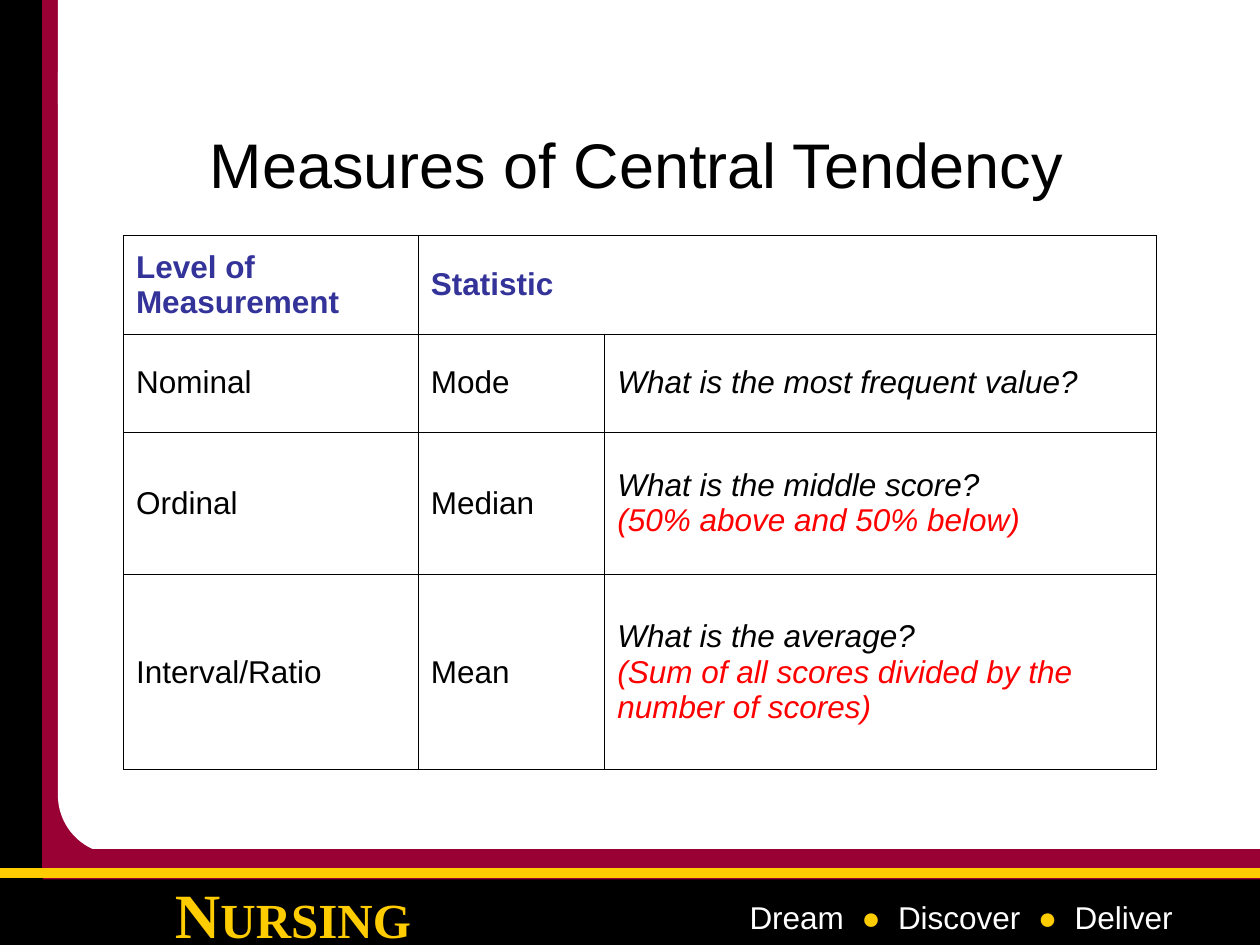
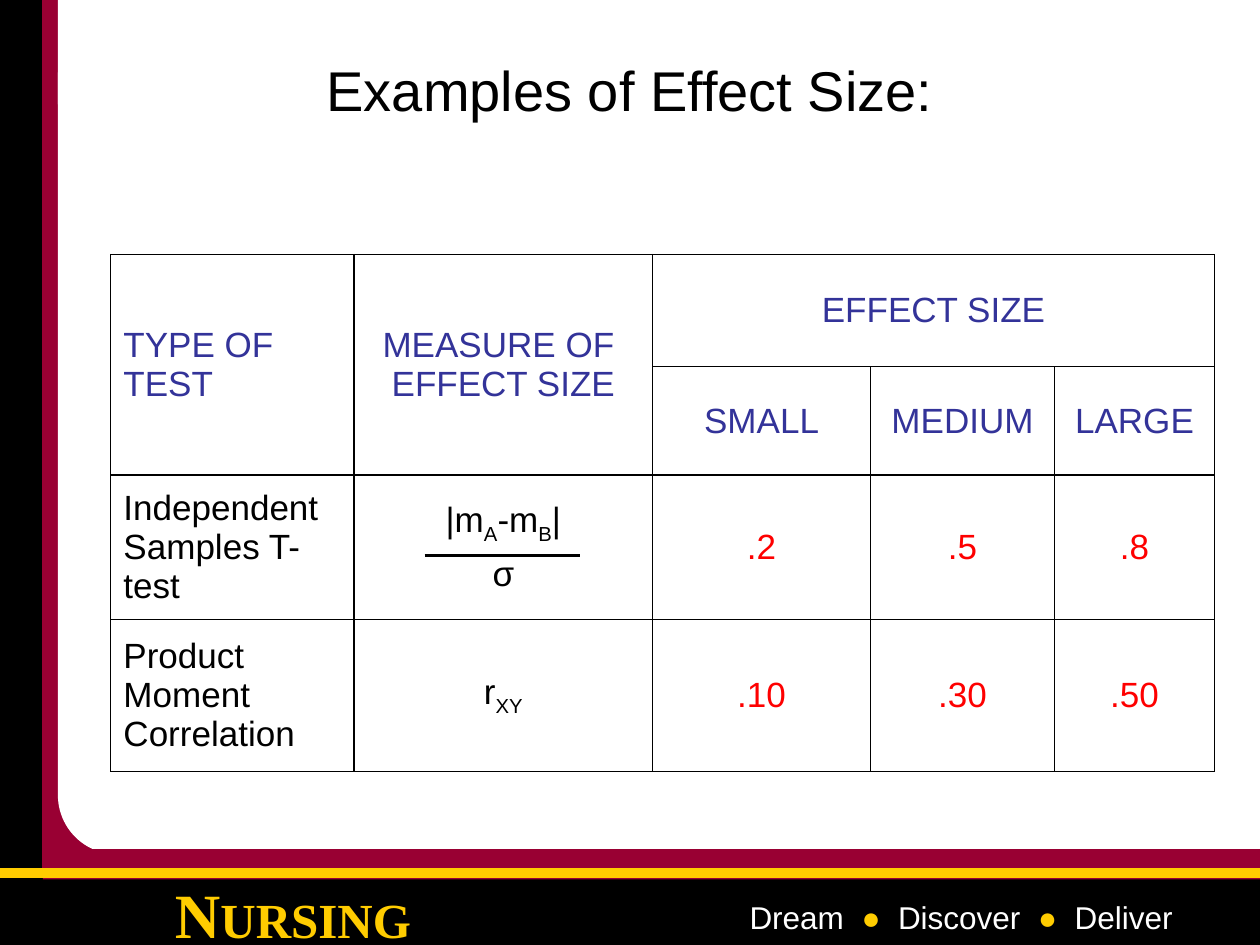
from lxml.etree import SubElement
from pptx import Presentation
from pptx.dml.color import RGBColor
from pptx.enum.shapes import MSO_CONNECTOR as Connector, MSO_SHAPE as Shape
from pptx.enum.text import MSO_ANCHOR as Anchor, PP_ALIGN as Align
from pptx.oxml import parse_xml
from pptx.oxml.ns import nsdecls, qn
from pptx.util import Inches, Pt

COLORS = {
    "black": "000000",
    "white": "FFFFFF",
    "maroon": "990033",
    "gold": "FFCC00",
    "heading": "333399",
    "note": "FF0000",
    "value": "FE0000",
}

BANDS = [
    (Shape.RECTANGLE, 0.32, 0, 0.43, 7.5, "maroon"),
    (Shape.RECTANGLE, 1.04, 0.75, 8.96, 6.75, "white"),
    (Shape.RECTANGLE, 0, 0, 0.33, 7.5, "black"),
    (Shape.RECTANGLE, 0, 6.96, 10, 0.54, "black"),
    (Shape.ROUNDED_RECTANGLE, 0.46, 0.12, 2.81, 6.66, "white"),
    (Shape.RECTANGLE, 0.46, 0, 0.64, 0.83, "white"),
    (Shape.RECTANGLE, 0.34, 6.74, 9.66, 0.24, "maroon"),
]

SCHOOL = [("N", "gold", 36, "bold"), ("URSING", "gold", 28, "bold")]
MOTTO = [
    ("Dream  ", "white", 18),
    ("●  ", "gold", 18),
    ("Discover  ", "white", 18),
    ("●", "gold", 18),
    ("  Deliver", "white", 18),
]

SLIDES = [
    {
        "title": ("Measures of Central Tendency", "black", 36),
        "title_box": (0.71, 0.67, 8.68, 1.25),
        "table_at": (0.98, 1.87),
        "columns": [2.34, 1.48, 4.38],
        "rows": [0.78, 0.78, 1.13, 1.55],
        "merges": [(0, 1, 0, 2)],
        "size": 18,
        "space": 4.5,
        "border": 0.45,
        "centred_from": 3,
        "cells": [
            [[[("Level of Measurement", "heading", "bold")]], [[("Statistic", "heading", "bold")]], None],
            [[[("Nominal", "black")]], [[("Mode", "black")]],
             [[("What is the most frequent value?", "black", "italic")]]],
            [[[("Ordinal", "black")]], [[("Median", "black")]],
             [[("What is the middle score? \n", "black", "italic"),
               ("(50% above and 50% below)", "note", "italic")]]],
            [[[("Interval/Ratio", "black")]], [[("Mean", "black")]],
             [[("What is the average? \n", "black", "italic"),
               ("(Sum of all scores divided by the number of scores)", "note", "italic")]]],
        ],
    },
    {
        "title": ("Examples of Effect Size:", "black", 32),
        "title_box": (0.75, 0.33, 8.5, 0.75),
        "table_at": (0.88, 2.02),
        "columns": [1.93, 2.37, 1.73, 1.46, 1.27],
        "rows": [0.89, 0.86, 1.15, 1.2],
        "merges": [(0, 0, 1, 0), (0, 1, 1, 1), (0, 2, 0, 4)],
        "size": 20,
        "space": 5,
        "border": 0.75,
        "centred_from": 1,
        "cells": [
            [[[("TYPE OF TEST", "heading")]], [[("MEASURE OF \nEFFECT SIZE", "heading")]],
             [[("EFFECT SIZE", "heading")]], None, None],
            [None, None] + [[[(name, "heading")]] for name in ("SMALL", "MEDIUM", "LARGE")],
            [[[("Independent \nSamples T-test", "black")]],
             [[("|m", "black"), ("A", "black", "sub"), ("-m", "black"), ("B", "black", "sub"),
               ("|", "black")], [("σ", "black")]]]
            + [[[(value, "value")]] for value in (".2", ".5", ".8")],
            [[[("Product Moment Correlation", "black")]], [[("r", "black"), ("XY", "black", "sub")]]]
            + [[[(value, "value")]] for value in (".10", ".30", ".50")],
        ],
        "fraction_bar": (3.37, 4.41, 4.6, 4.41, "black", 1.75),
    },
]


def write(frame, paragraphs, align=Align.LEFT, font="Arial", size=18, space=0):
    for number, runs in enumerate(paragraphs):
        para = frame.add_paragraph() if number else frame.paragraphs[0]
        para.alignment = align
        para.space_before = Pt(space)
        for text, color, *styles in runs:
            for line_number, line in enumerate(text.split("\n")):
                if line_number:
                    para.add_line_break()
                if not line:
                    continue
                span = para.add_run()
                span.text = line
                span.font.name = font
                span.font.size = Pt(next((style for style in styles if isinstance(style, int)), size))
                span.font.color.rgb = RGBColor.from_string(COLORS[color])
                span.font.bold = "bold" in styles
                span.font.italic = "italic" in styles
                if "sub" in styles:
                    span.font._element.set("baseline", "-25000")


def draw_line(slide, x1, y1, x2, y2, color, width):
    line = slide.shapes.add_connector(Connector.STRAIGHT, Inches(x1), Inches(y1), Inches(x2), Inches(y2))
    line.line.color.rgb = RGBColor.from_string(COLORS[color])
    line.line.width = Pt(width)
    SubElement(line._element.spPr, qn("a:effectLst"))


deck = Presentation()
deck.slide_width = Inches(10)
deck.slide_height = Inches(7.5)

for content in SLIDES:
    slide = deck.slides.add_slide(deck.slide_layouts[6])

    for kind, left, top, width, height, color in BANDS:
        band = slide.shapes.add_shape(kind, Inches(left), Inches(top), Inches(width), Inches(height))
        band.shadow.inherit = False
        band.fill.solid()
        band.fill.fore_color.rgb = RGBColor.from_string(COLORS[color])
        if color == "black":
            band.line.color.rgb = RGBColor.from_string(COLORS[color])
            band.line.width = Pt(0.75)
        else:
            band.line.fill.background()
    draw_line(slide, 0, 6.93, 10, 6.93, "gold", 6)

    for place, runs, align, font, anchor in [
        ((1.16, 6.9, 2.33, 0.63), SCHOOL, Align.CENTER, "Times New Roman", Anchor.TOP),
        ((5.85, 7.08, 3.99, 0.4), MOTTO, Align.LEFT, "Arial", Anchor.TOP),
        (content["title_box"], [content["title"]], Align.CENTER, "Arial", Anchor.MIDDLE),
    ]:
        box = slide.shapes.add_textbox(*map(Inches, place))
        box.text_frame.word_wrap = True
        box.text_frame.vertical_anchor = anchor
        write(box.text_frame, [runs], align, font)

    columns, rows = content["columns"], content["rows"]
    left, top = content["table_at"]
    table = slide.shapes.add_table(
        len(rows), len(columns), Inches(left), Inches(top), Inches(sum(columns)), Inches(sum(rows))
    ).table
    table.first_row = table.horz_banding = False
    for column, width in zip(table.columns, columns):
        column.width = Inches(width)
    for row, height in zip(table.rows, rows):
        row.height = Inches(height)
    for row1, column1, row2, column2 in content["merges"]:
        table.cell(row1, column1).merge(table.cell(row2, column2))

    for row_number, row_cells in enumerate(content["cells"]):
        for column_number, paragraphs in enumerate(row_cells):
            cell = table.cell(row_number, column_number)
            cell.fill.background()
            cell.vertical_anchor = Anchor.MIDDLE
            inner_left = row_number > 0 and column_number > 2
            inner_right = row_number > 0 and 2 <= column_number < len(columns) - 1
            thin = {"L": inner_left, "R": inner_right}
            for position, side in enumerate("LRTB"):
                width = 0.45 if thin.get(side) else content["border"]
                cell._tc.get_or_add_tcPr().insert(position, parse_xml(
                    f'<a:ln{side} {nsdecls("a")} w="{Pt(width)}"><a:solidFill>'
                    f'<a:srgbClr val="{COLORS["black"]}"/></a:solidFill></a:ln{side}>'
                ))
            if paragraphs:
                align = Align.CENTER if column_number >= content["centred_from"] else Align.LEFT
                write(cell.text_frame, paragraphs, align, size=content["size"], space=content["space"])

    if "fraction_bar" in content:
        draw_line(slide, *content["fraction_bar"])

deck.save("out.pptx")
